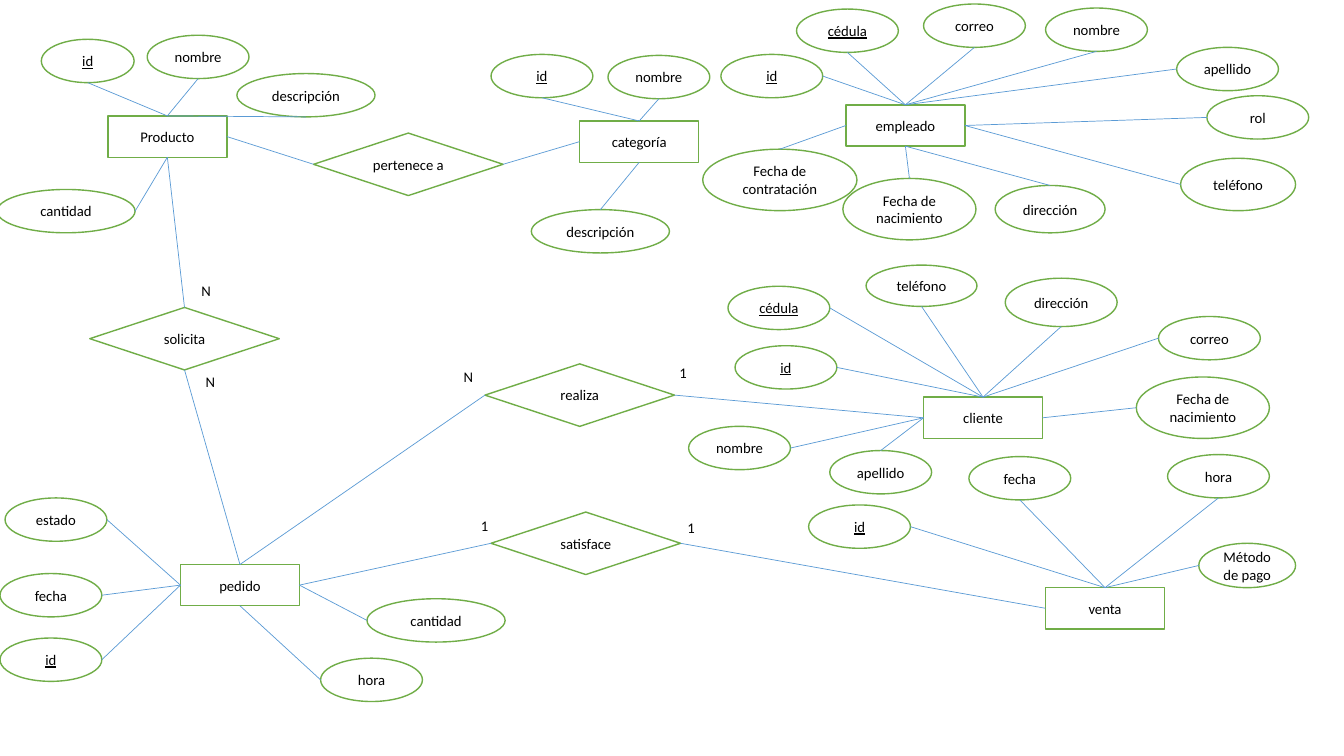
from pptx import Presentation
from pptx.dml.color import RGBColor
from pptx.enum.shapes import MSO_CONNECTOR as Connector, MSO_SHAPE as Shape
from pptx.enum.text import MSO_ANCHOR as Anchor, MSO_AUTO_SIZE as AutoSize, PP_ALIGN as Align
from pptx.oxml.ns import qn
from pptx.util import Inches, Pt
from lxml import etree

TOP, LEFT, BOTTOM, RIGHT = range(4)
COLUMNS, ROWS = 133.3, 75
ENTITY, RELATION = (11.8, 4.1), (18.8, 6.2)
SMALL, WIDE, DATE = (10.1, 4.3), (13.7, 4.3), (13.2, 6.1)
KEYS = {"id", "cédula"}


def color(value):
    return RGBColor.from_string(value)


def apply(target, values):
    for name, value in values.items():
        setattr(target, name, value)


class Diagram:
    font = {"name": "Calibri", "size": Pt(10.5)}
    ink, paper, outline, link = "000000", "FFFFFF", "70AD47", "5B9BD5"

    def __init__(self, presentation):
        self.slide = presentation.slides.add_slide(presentation.slide_layouts[6])
        self.column = presentation.slide_width / COLUMNS
        self.row = presentation.slide_height / ROWS

    def box(self, left, top, size):
        width, height = size
        return [round(length) for length in (left * self.column, top * self.row,
                                             width * self.column, height * self.row)]

    def add_text(self, frame, text, align, underline=None):
        paragraph = frame.paragraphs[0]
        paragraph.alignment = align
        run = paragraph.add_run()
        run.text = text
        apply(run.font, {**self.font, "underline": underline})
        run.font.color.rgb = color(self.ink)

    def node(self, kind, text, left, top, size):
        shape = self.slide.shapes.add_shape(kind, *self.box(left, top, size))
        shape.shadow.inherit = False
        shape.fill.solid()
        shape.fill.fore_color.rgb = color(self.paper)
        shape.line.color.rgb = color(self.outline)
        shape.line.width = Pt(1)
        apply(shape.text_frame, {"vertical_anchor": Anchor.MIDDLE, "word_wrap": True})
        underline = True if kind == Shape.OVAL and text in KEYS else None
        self.add_text(shape.text_frame, text, Align.CENTER, underline)
        return shape

    def label(self, text, left, top):
        frame = self.slide.shapes.add_textbox(*self.box(left, top, (2.8, 2.8))).text_frame
        apply(frame, {"word_wrap": False, "auto_size": AutoSize.SHAPE_TO_FIT_TEXT})
        self.add_text(frame, text, Align.LEFT)

    def connect(self, start, start_side, end, end_side):
        connector = self.slide.shapes.add_connector(Connector.STRAIGHT, 0, 0, 0, 0)
        connector.begin_connect(start, start_side)
        connector.end_connect(end, end_side)
        if start.auto_shape_type == Shape.OVAL:
            for site in connector.element.iter(qn("a:stCxn")):
                site.set("idx", str(2 * start_side))
        connector.line.color.rgb = color(self.link)
        connector.line.width = Pt(0.5)
        etree.SubElement(connector.element.spPr, qn("a:effectLst"))


entities = {
    "Producto": (10.7, 11.5, [
        ("id", 4.1, 3.9, (9.2, 4.3), BOTTOM, TOP),
        ("nombre", 14.6, 3.5, SMALL, BOTTOM, TOP),
        ("descripción", 23.5, 7.3, WIDE, BOTTOM, TOP),
        ("cantidad", -0.3, 18.8, WIDE, RIGHT, BOTTOM)]),
    "categoría": (57.5, 12, [
        ("id", 48.7, 5.4, SMALL, BOTTOM, TOP),
        ("nombre", 60.3, 5.5, SMALL, BOTTOM, TOP),
        ("descripción", 52.7, 20.8, WIDE, TOP, BOTTOM)]),
    "empleado": (83.9, 10.4, [
        ("id", 71.5, 5.4, SMALL, RIGHT, TOP),
        ("cédula", 79, 0.9, SMALL, BOTTOM, TOP),
        ("correo", 91.6, 0.4, SMALL, BOTTOM, TOP),
        ("nombre", 103.7, 0.8, SMALL, BOTTOM, TOP),
        ("apellido", 116.7, 4.7, SMALL, LEFT, TOP),
        ("rol", 119.7, 9.5, SMALL, LEFT, RIGHT),
        ("teléfono", 117.1, 15.7, (11.4, 5.2), LEFT, RIGHT),
        ("Fecha de contratación", 69.7, 14.8, (15.3, 6.1), TOP, LEFT),
        ("Fecha de nacimiento", 83.6, 17.7, DATE, TOP, BOTTOM),
        ("dirección", 98.7, 18.4, (10.9, 4.7), TOP, BOTTOM)]),
    "cliente": (91.6, 39.4, [
        ("cédula", 72.2, 28.4, SMALL, RIGHT, TOP),
        ("id", 72.9, 34.3, SMALL, RIGHT, TOP),
        ("teléfono", 85.9, 26.3, (11, 4.1), BOTTOM, TOP),
        ("dirección", 99.7, 27.6, (11.1, 4.8), BOTTOM, TOP),
        ("correo", 114.9, 31.4, SMALL, LEFT, TOP),
        ("Fecha de nacimiento", 112.7, 37.4, DATE, LEFT, RIGHT),
        ("nombre", 68.3, 42.3, SMALL, RIGHT, LEFT),
        ("apellido", 82.3, 44.7, SMALL, TOP, LEFT)]),
    "pedido": (17.9, 56, [
        ("estado", 0.5, 49.4, SMALL, RIGHT, LEFT),
        ("fecha", 0, 56.9, SMALL, RIGHT, LEFT),
        ("id", 0, 63.3, SMALL, RIGHT, LEFT),
        ("cantidad", 36.4, 59.4, WIDE, LEFT, RIGHT),
        ("hora", 31.8, 65.3, SMALL, LEFT, BOTTOM)]),
    "venta": (103.7, 58.3, [
        ("id", 80.2, 50.1, SMALL, RIGHT, TOP),
        ("fecha", 96.1, 45.3, SMALL, BOTTOM, TOP),
        ("hora", 115.8, 45.1, SMALL, BOTTOM, TOP),
        ("Método de pago", 118.9, 53.9, (9.6, 4.4), LEFT, TOP)]),
}
relations = [
    ("pertenece a", 31.1, 13.2, [(LEFT, "Producto", RIGHT), (RIGHT, "categoría", LEFT)]),
    ("solicita", 8.9, 30.5, [(TOP, "Producto", BOTTOM), (BOTTOM, "pedido", TOP)]),
    ("realiza", 48.1, 36.1, [(LEFT, "pedido", TOP), (RIGHT, "cliente", LEFT)]),
    ("satisface", 48.7, 50.8, [(LEFT, "pedido", RIGHT), (RIGHT, "venta", LEFT)]),
]
cardinalities = [("N", 19, 27.5), ("N", 19.4, 36.5), ("N", 45, 36),
                 ("1", 66.4, 35.6), ("1", 46.7, 50.8), ("1", 67.2, 51)]

presentation = Presentation()
apply(presentation, {"slide_width": Inches(13.33), "slide_height": Inches(7.5)})
diagram = Diagram(presentation)

entity_shapes = {}
for name, (left, top, attributes) in entities.items():
    entity = diagram.node(Shape.FLOWCHART_PROCESS, name, left, top, ENTITY)
    entity_shapes[name] = entity
    for text, left, top, size, side, entity_side in attributes:
        attribute = diagram.node(Shape.OVAL, text, left, top, size)
        diagram.connect(attribute, side, entity, entity_side)

for text, left, top, links in relations:
    relation = diagram.node(Shape.FLOWCHART_DECISION, text, left, top, RELATION)
    for side, name, entity_side in links:
        diagram.connect(relation, side, entity_shapes[name], entity_side)

for cardinality in cardinalities:
    diagram.label(*cardinality)

presentation.save("out.pptx")
